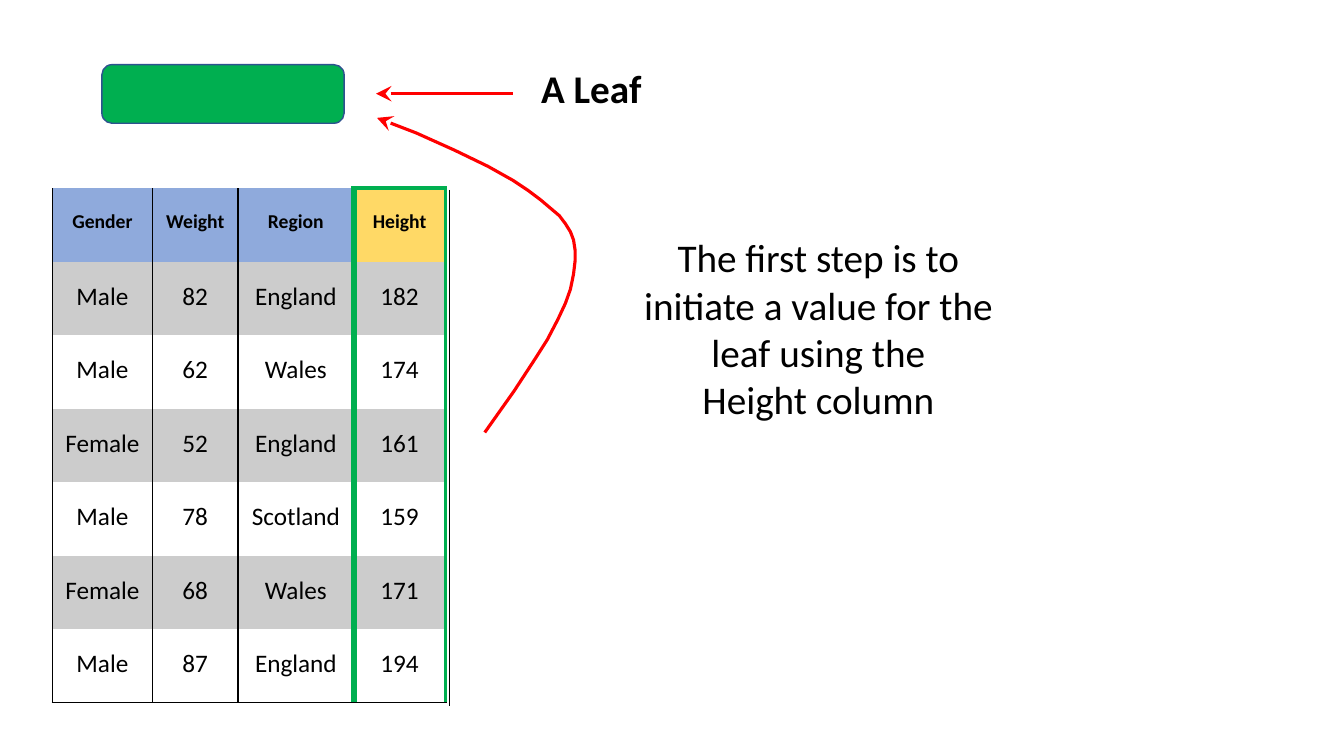
from lxml.etree import SubElement
from pptx import Presentation
from pptx.dml.color import RGBColor
from pptx.enum.shapes import MSO_CONNECTOR, MSO_SHAPE
from pptx.enum.text import MSO_ANCHOR, PP_ALIGN
from pptx.oxml.ns import qn
from pptx.util import Pt

COLORS = {
    "black": "000000", "green": "00AF50", "navy": "2E528F", "red": "FF0000",
    "blue": "8FAADC", "yellow": "FFD966", "grey": "CCCCCC",
}


def color(name):
    return RGBColor.from_string(COLORS[name])


def write(frame, text, size=28, bold=False, align=PP_ALIGN.CENTER):
    """Write each line of text as one paragraph of the frame."""
    for index, line in enumerate(text.split("\n")):
        para = frame.paragraphs[0] if index == 0 else frame.add_paragraph()
        para.alignment = align
        span = para.add_run()
        span.text = line
        span.font.name = "Calibri"
        span.font.size = Pt(size)
        span.font.bold = bold
        span.font.color.rgb = color("black")


deck = Presentation()
deck.slide_width, deck.slide_height = Pt(960), Pt(540)
page = deck.slides.add_slide(deck.slide_layouts[6])

# Data table
rows = [
    ("Gender", "Weight", "Region", "Height"),
    ("Male", "82", "England", "182"),
    ("Male", "62", "Wales", "174"),
    ("Female", "52", "England", "161"),
    ("Male", "78", "Scotland", "159"),
    ("Female", "68", "Wales", "171"),
    ("Male", "87", "England", "194"),
]
widths = [71.6, 61, 82.8, 65.4]
row_height = 52.5
# Vertical rules, one more than there are columns
rules = [("black", 1), ("black", 1), ("black", 1), ("green", 4.5), ("green", 3)]

table_frame = page.shapes.add_table(
    len(rows), len(widths), Pt(37.4), Pt(134.4),
    Pt(sum(widths)), Pt(row_height * len(rows)))
table = table_frame.table
table.first_row = table.horz_banding = False
for style in table_frame._element.iter(qn("a:tableStyleId")):
    style.text = "{2D5ABB26-0587-4C30-8999-92F81FD0307C}"
for column, width in zip(table.columns, widths):
    column.width = Pt(width)

for r, values in enumerate(rows):
    table.rows[r].height = Pt(row_height)
    header = r == 0
    for c, value in enumerate(values):
        cell = table.cell(r, c)
        cell.margin_left = cell.margin_right = cell.margin_bottom = 0
        cell.margin_top = Pt(15.7 if header else 14)
        cell.vertical_anchor = MSO_ANCHOR.TOP
        write(cell.text_frame, value, size=14 if header else 18, bold=header)

        borders = {"a:lnL": rules[c], "a:lnR": rules[c + 1]}
        if header and c == 3:
            borders["a:lnT"] = ("green", 3)
        if r == len(rows) - 1:
            borders["a:lnB"] = ("black", 1)
        properties = cell._tc.get_or_add_tcPr()
        for tag, (name, weight) in borders.items():
            border = SubElement(properties, qn(tag), w=str(Pt(weight)))
            fill = SubElement(border, qn("a:solidFill"))
            SubElement(fill, qn("a:srgbClr"), val=COLORS[name])

        if header or r % 2:
            cell.fill.solid()
            header_color = "yellow" if c == 3 else "blue"
            cell.fill.fore_color.rgb = color(header_color if header else "grey")
        else:
            cell.fill.background()

# Leaf
leaf = page.shapes.add_shape(
    MSO_SHAPE.ROUNDED_RECTANGLE, Pt(72.8), Pt(46.2), Pt(173), Pt(41.8))
leaf.adjustments[0] = 0.17
leaf.shadow.inherit = False
leaf.fill.solid()
leaf.fill.fore_color.rgb = color("green")
leaf.line.color.rgb = color("navy")
leaf.line.width = Pt(1)

# Rule beside the table, and the arrow from the title to the leaf
table_rule, leaf_arrow = [
    page.shapes.add_connector(MSO_CONNECTOR.STRAIGHT, *map(Pt, ends))
    for ends in [(321.2, 135.6, 321.2, 504), (268.6, 66.9, 366.6, 66.9)]]
for connector in (table_rule, leaf_arrow):
    SubElement(connector._element.spPr, qn("a:effectLst"))
table_rule.line.color.rgb = color("black")
table_rule.line.width = Pt(1)

# Curved arrow from the Height column to the leaf
curve = [
    (269.3, 84.2), (297.4, 95), (324.7, 107.3), (348.5, 118.8), (366.5, 128.9),
    (377.3, 136.1), (386, 142.6), (395.3, 150.5), (399.6, 154.1),
    (403.9, 159.8), (407.5, 165.6), (409.7, 171.4), (410.8, 178.6),
    (410.8, 186.5), (409.7, 195.8), (407.5, 206.6), (403.9, 216.7),
    (398.5, 228.2), (391, 242.6), (382.3, 256.3), (367.2, 279.4),
    (346.3, 308.9),
]
points = [(Pt(x), Pt(y)) for x, y in curve]
builder = page.shapes.build_freeform(*points[0])
builder.add_line_segments(points[1:], close=False)
curved_arrow = builder.convert_to_shape()
curved_arrow.shadow.inherit = False
curved_arrow.fill.background()

for arrow in (leaf_arrow, curved_arrow):
    arrow.line.color.rgb = color("red")
    arrow.line.width = Pt(2.25)
    SubElement(arrow.line._get_or_add_ln(), qn("a:headEnd"),
               type="stealth", w="lg", len="lg")

# Title and explanation
texts = [
    ("A Leaf", (386.5, 46, 74, 35), True, PP_ALIGN.LEFT),
    ("The first step is to initiate a value for the leaf using the\n"
     "Height column", (457, 167, 255, 136), False, PP_ALIGN.CENTER),
]
for text, place, bold, align in texts:
    box = page.shapes.add_textbox(*map(Pt, place))
    frame = box.text_frame
    frame.margin_left = frame.margin_right = 0
    frame.margin_top = frame.margin_bottom = 0
    frame.word_wrap = True
    write(frame, text, bold=bold, align=align)

deck.save("out.pptx")
